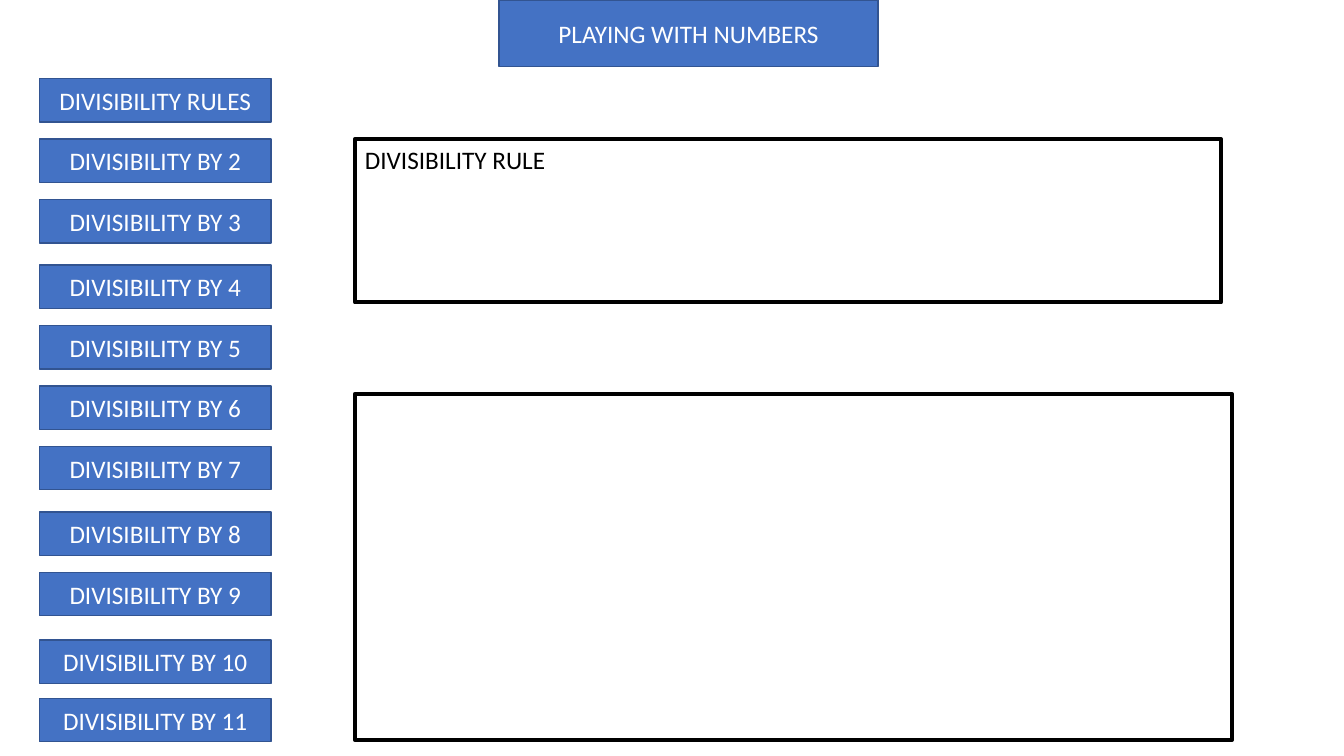
from lxml import etree
from pptx import Presentation
from pptx.dml.color import RGBColor
from pptx.enum.shapes import MSO_SHAPE
from pptx.enum.text import MSO_ANCHOR, MSO_AUTO_SIZE, PP_ALIGN
from pptx.oxml.ns import qn
from pptx.util import Inches, Pt

BUTTON_TOPS = [0.78, 1.38, 1.98, 2.63, 3.23, 3.83, 4.43, 5.08, 5.68, 6.35, 6.93]


def color(hex_code):
    return RGBColor.from_string(hex_code)


def add_rectangle(slide, left, top, width, height, line_color, line_width):
    shape = slide.shapes.add_shape(
        MSO_SHAPE.RECTANGLE, Inches(left), Inches(top), Inches(width), Inches(height))
    shape.shadow.inherit = False
    shape.line.color.rgb = color(line_color)
    shape.line.width = Pt(line_width)
    return shape


def write(shape, text, text_color, align, anchor):
    frame = shape.text_frame
    frame.word_wrap = True
    frame.vertical_anchor = anchor
    paragraph = frame.paragraphs[0]
    paragraph.alignment = align
    run = paragraph.add_run()
    run.text = text
    run.font.name = "Calibri"
    run.font.size = Pt(18)
    run.font.color.rgb = color(text_color)


def add_button(slide, left, top, width, height, text):
    button = add_rectangle(slide, left, top, width, height, "325491", 1)
    button.fill.solid()
    button.fill.fore_color.rgb = color("4472C4")
    write(button, text, "FFFFFF", PP_ALIGN.CENTER, MSO_ANCHOR.MIDDLE)


def add_frame(slide, left, top, width, height):
    frame = add_rectangle(slide, left, top, width, height, "000000", 3)
    frame.fill.background()
    etree.SubElement(frame.line._get_or_add_ln(), qn("a:round"))
    return frame


def main():
    prs = Presentation()
    prs.slide_width, prs.slide_height = Inches(13.33), Inches(7.5)
    slide = prs.slides.add_slide(prs.slide_layouts[6])

    add_button(slide, 4.95, 0, 3.76, 0.66, "PLAYING WITH NUMBERS")
    labels = ["DIVISIBILITY RULES"] + [f"DIVISIBILITY BY {n}" for n in range(2, 12)]
    for label, top in zip(labels, BUTTON_TOPS):
        add_button(slide, 0.39, top, 2.3, 0.43, label)

    rule_frame = add_frame(slide, 3.52, 1.38, 8.59, 1.62)
    write(rule_frame, "DIVISIBILITY RULE", "000000", PP_ALIGN.LEFT, MSO_ANCHOR.TOP)
    rule_frame.text_frame.auto_size = MSO_AUTO_SIZE.NONE
    add_frame(slide, 3.52, 3.91, 8.7, 3.43)

    prs.save("out.pptx")


main()
